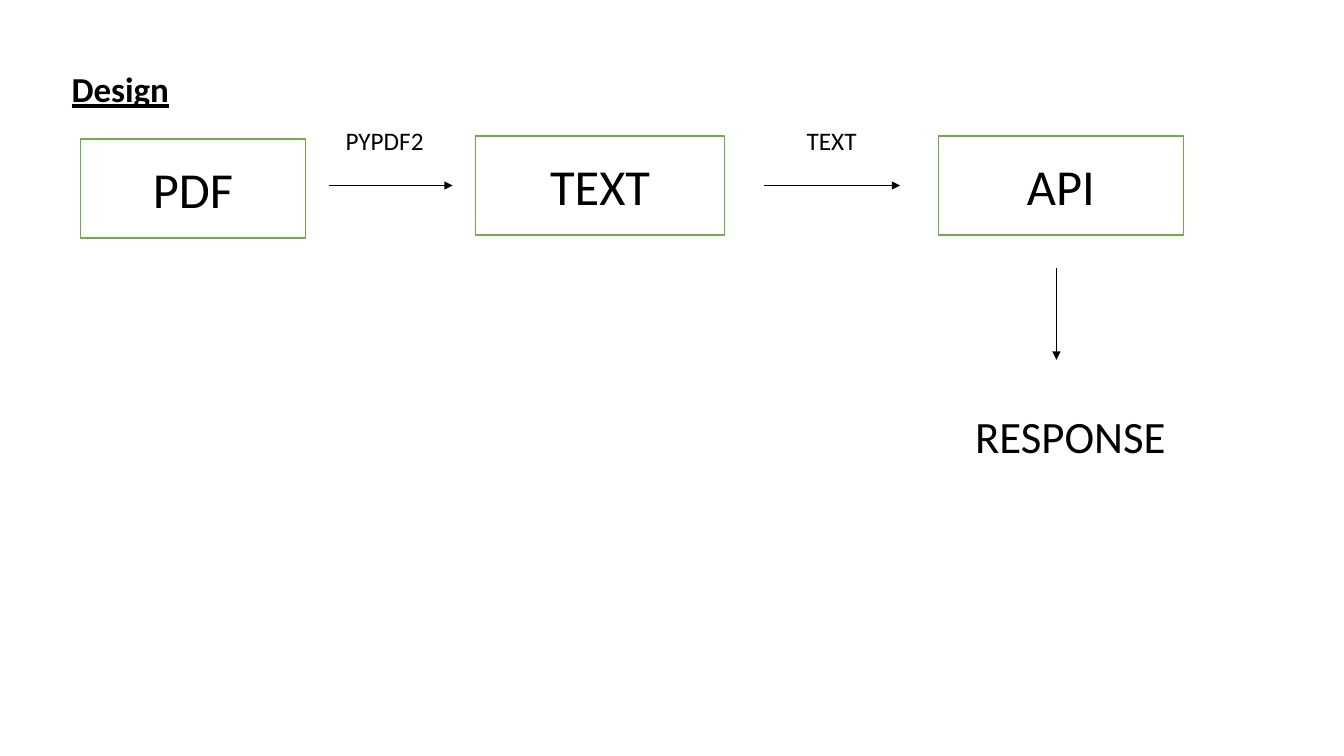
import pptx
import pptx.util
import pptx.dml.color
import pptx.enum.shapes
import pptx.enum.text
import pptx.oxml
import pptx.oxml.ns

Pt = pptx.util.Pt
RGBColor = pptx.dml.color.RGBColor
ALIGN = pptx.enum.text.PP_ALIGN
ANCHOR = pptx.enum.text.MSO_ANCHOR

BLACK = RGBColor(0x00, 0x00, 0x00)
WHITE = RGBColor(0xFF, 0xFF, 0xFF)
GREEN = RGBColor(0x70, 0xAD, 0x47)


class DesignPage:
    """Holds the style and the current slide; lengths are in points."""

    font = "Calibri"
    box_height = 70.6

    def __init__(self, deck):
        self.page = deck.slides.add_slide(deck.slide_layouts[5])

    def set_text(self, shape, text, size, align, anchor=ANCHOR.TOP):
        frame = shape.text_frame
        frame.text = text
        frame.word_wrap = True
        frame.auto_size = pptx.enum.text.MSO_AUTO_SIZE.NONE
        frame.vertical_anchor = anchor
        para = frame.paragraphs[0]
        para.alignment = align
        span = para.runs[0]
        span.font.name = self.font
        span.font.size = Pt(size)
        span.font.color.rgb = BLACK
        return span

    def title(self, text, left, top, width, height):
        title = self.page.shapes.title
        title.left, title.top = Pt(left), Pt(top)
        title.width, title.height = Pt(width), Pt(height)
        span = self.set_text(title, text, 25, ALIGN.LEFT)
        span.font.bold = True
        span.font.underline = True

    def box(self, text, left, top, width):
        box = self.page.shapes.add_shape(
            pptx.enum.shapes.MSO_SHAPE.RECTANGLE,
            Pt(left), Pt(top), Pt(width), Pt(self.box_height))
        box.shadow.inherit = False
        box.fill.solid()
        box.fill.fore_color.rgb = WHITE
        box.line.color.rgb = GREEN
        box.line.width = Pt(1)
        self.set_text(box, text, 36, ALIGN.CENTER, ANCHOR.MIDDLE)

    def label(self, text, left, top, width, height, size, align=ALIGN.CENTER):
        label = self.page.shapes.add_textbox(
            Pt(left), Pt(top), Pt(width), Pt(height))
        self.set_text(label, text, size, align)

    def arrow(self, start_x, start_y, end_x, end_y):
        arrow = self.page.shapes.add_connector(
            pptx.enum.shapes.MSO_CONNECTOR.STRAIGHT,
            Pt(start_x), Pt(start_y), Pt(end_x), Pt(end_y))
        arrow.line.color.rgb = BLACK
        arrow.line.width = Pt(0.5)
        # Arrowhead at the end, and no theme shadow
        namespace = pptx.oxml.ns.nsdecls("a")
        line = arrow.element.spPr.find(pptx.oxml.ns.qn("a:ln"))
        line.append(pptx.oxml.parse_xml(
            f'<a:tailEnd {namespace} type="triangle"/>'))
        line.addnext(pptx.oxml.parse_xml(f'<a:effectLst {namespace}/>'))


def main():
    deck = pptx.Presentation()
    deck.slide_width, deck.slide_height = Pt(960), Pt(540)
    design = DesignPage(deck)

    design.title("Design", 43.9, 44.6, 911.5, 37.4)

    # Stages of the pipeline
    for text, left, top, width in (("PDF", 57.6, 99.4, 160.6),
                                   ("TEXT", 339.8, 97.2, 177.8),
                                   ("API", 670.3, 97.2, 175)):
        design.box(text, left, top, width)

    # Steps between the stages
    flow_y = 132.5
    design.arrow(234.7, flow_y, 323.3, flow_y)
    design.arrow(545.8, flow_y, 643, flow_y)
    design.label("PYPDF2", 239.8, 85.7, 72, 28.8, 18, ALIGN.LEFT)
    design.label("TEXT", 545.8, 85.7, 96.5, 28.8, 18)

    # Response from the API
    design.arrow(754.6, 191.5, 754.6, 257)
    design.label("RESPONSE", 684, 288.7, 161.3, 46, 32)

    deck.save("out.pptx")


if __name__ == "__main__":
    main()
